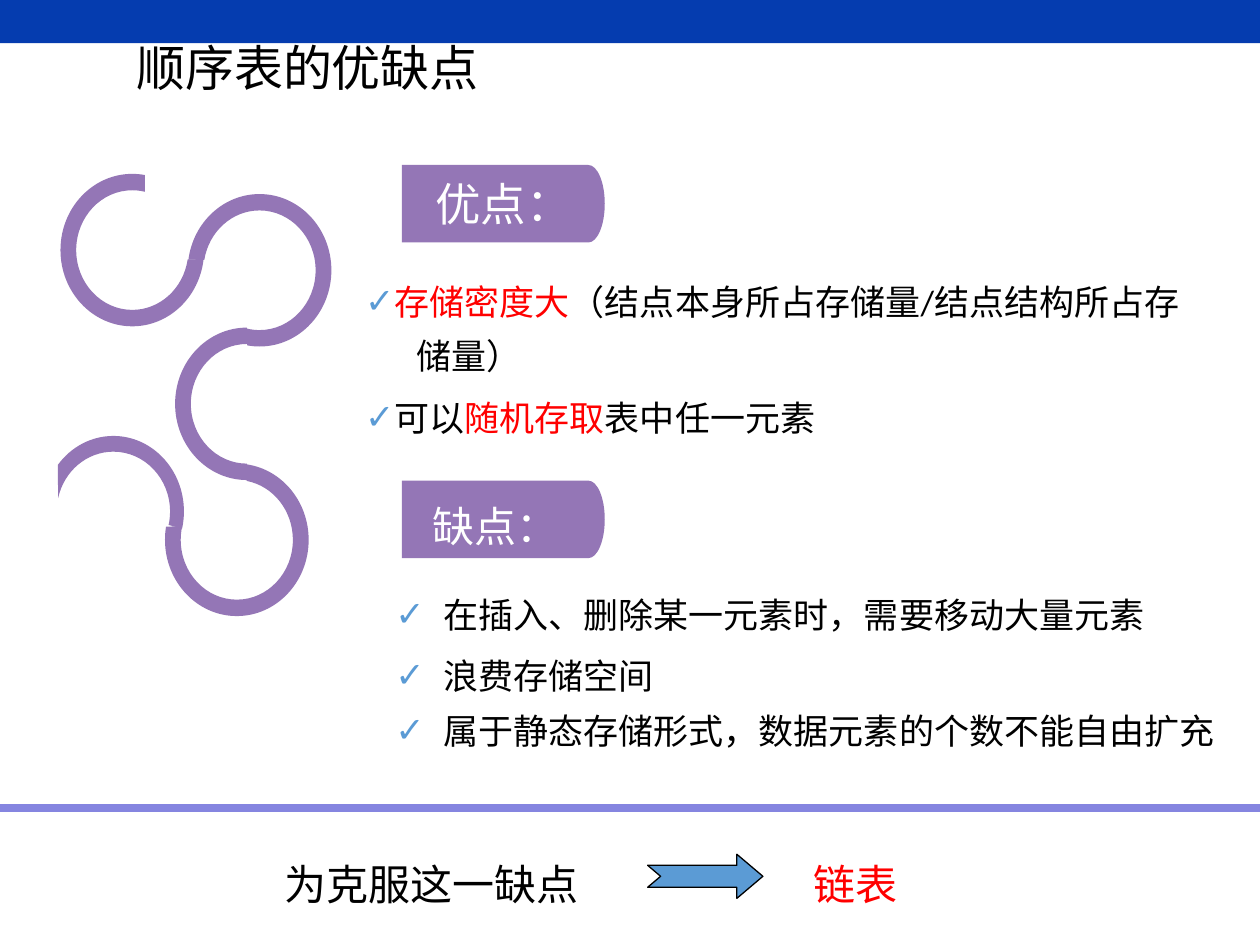
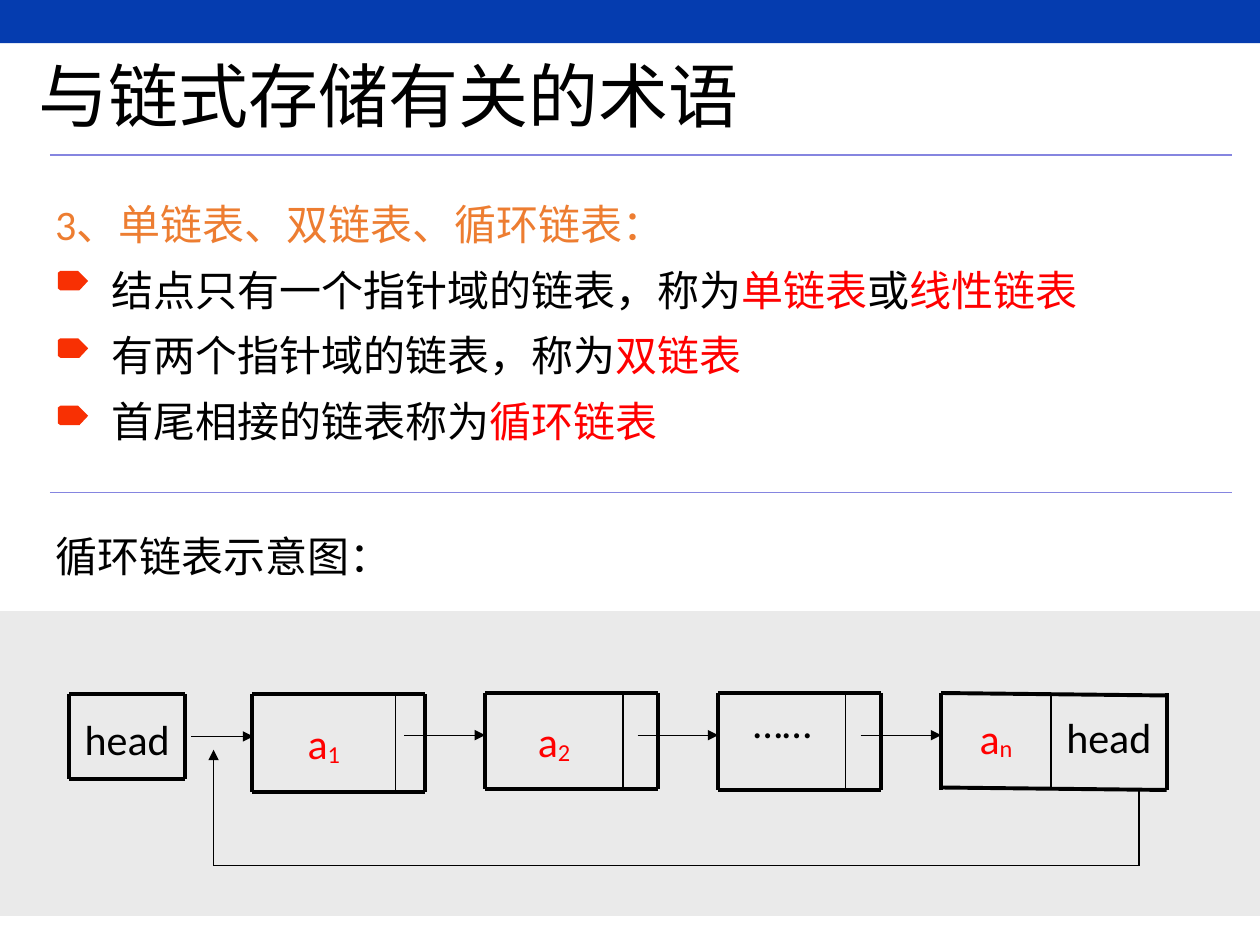
from math import ceil, cos, floor, radians, sin, tan

from lxml.etree import SubElement
from pptx import Presentation
from pptx.dml.color import RGBColor
from pptx.enum.shapes import MSO_CONNECTOR as Connector, MSO_SHAPE as Shape
from pptx.enum.text import MSO_ANCHOR as Anchor, PP_ALIGN as Align
from pptx.oxml.ns import qn
from pptx.util import Inches, Pt

BLACK = RGBColor(0x00, 0x00, 0x00)
WHITE = RGBColor(0xFF, 0xFF, 0xFF)
RED = RGBColor(0xFF, 0x00, 0x00)
ORANGE = RGBColor(0xED, 0x7D, 0x31)
MARKER = RGBColor(0xF8, 0x30, 0x03)
BAND = RGBColor(0x05, 0x3C, 0xAF)
RULE = RGBColor(0x85, 0x85, 0xE0)
PURPLE = RGBColor(0x94, 0x76, 0xB6)
BLUE = RGBColor(0x5B, 0x9B, 0xD5)
GREY = RGBColor(0xEA, 0xEA, 0xEA)

COLUMNS, ROWS = 100, 75
BODY_FONT, TITLE_FONT = "Calibri", "Noto Sans CJK SC"


def write(frame, text, size=24, color=BLACK, font=BODY_FONT, align=Align.LEFT,
          spacing=None, before=0, margin=0, indent=0, bullet=None, subscript=None):
    paragraph = frame.paragraphs[0]
    if paragraph.runs:
        paragraph = frame.add_paragraph()
    properties = paragraph._p.get_or_add_pPr()
    properties.set("marL", str(Inches(margin)))
    properties.set("indent", str(Inches(indent)))
    if bullet:
        bullet_color = SubElement(properties, qn("a:buClr"))
        SubElement(bullet_color, qn("a:srgbClr"), val=str(BLUE))
        SubElement(properties, qn("a:buFont"), typeface=BODY_FONT)
        SubElement(properties, qn("a:buChar"), char=bullet)
    paragraph.alignment = align
    paragraph.space_before = Pt(before)
    if spacing:
        paragraph.line_spacing = spacing
    pieces = [(part, RED if index % 2 else color, None)
              for index, part in enumerate(text.split("*")) if part]
    if subscript:
        pieces.append((subscript, color, "-8000"))
    for part, part_color, baseline in pieces:
        run = paragraph.add_run()
        run.text = part
        run.font.size = Pt(size)
        run.font.color.rgb = part_color
        run.font.name = font
        run_properties = run.font._element
        SubElement(run_properties, qn("a:ea"), typeface=font)
        if baseline:
            run_properties.set("baseline", baseline)


def arc(center_x, center_y, radius_x, radius_y, start, end):
    quarters = [90 * n for n in range(floor(start / 90) + 1, ceil(end / 90))]
    stops = [radians(angle) for angle in (start, *quarters, end)]
    unit = [(cos(stops[0]), sin(stops[0]))]
    for a, b in zip(stops, stops[1:]):
        pull = 4 / 3 * tan((b - a) / 4)
        unit += [(cos(a) - pull * sin(a), sin(a) + pull * cos(a)),
                 (cos(b) + pull * sin(b), sin(b) - pull * cos(b)),
                 (cos(b), sin(b))]
    return [(center_x + radius_x * x, center_y + radius_y * y) for x, y in unit]


class Deck:
    def __init__(self):
        self.presentation = Presentation()
        self.presentation.slide_width = Inches(10)
        self.presentation.slide_height = Inches(7.5)
        self.slide = None

    def x(self, columns):
        return round(self.presentation.slide_width * columns / COLUMNS)

    def y(self, rows):
        return round(self.presentation.slide_height * rows / ROWS)

    def place(self, left, top, width, height):
        return self.x(left), self.y(top), self.x(width), self.y(height)

    def new_slide(self):
        self.slide = self.presentation.slides.add_slide(self.presentation.slide_layouts[6])
        self.shape(Shape.RECTANGLE, 0, 0, COLUMNS, 3.43, BAND)

    def paint(self, shape, fill, line=None):
        shape.shadow.inherit = False
        shape.fill.solid()
        shape.fill.fore_color.rgb = fill
        if line is None:
            shape.line.fill.background()
        else:
            shape.line.color.rgb = line
            shape.line.width = Pt(0.75)
        return shape

    def shape(self, kind, left, top, width, height, fill, line=None):
        shape = self.slide.shapes.add_shape(kind, *self.place(left, top, width, height))
        return self.paint(shape, fill, line)

    def outline(self, fill, *parts):
        points, curve_starts = [], []
        for part in parts:
            curve_starts += range(len(points), len(points) + len(part) - 1, 3)
            points += [(self.x(column), self.y(row)) for column, row in part]
        builder = self.slide.shapes.build_freeform(*points[0])
        builder.add_line_segments(points[1:])
        shape = builder.convert_to_shape()
        segments = list(shape._element.iter(qn("a:lnTo")))
        for start in curve_starts:
            first, *others = segments[start:start + 3]
            parent = first.getparent()
            curve = parent.makeelement(qn("a:cubicBezTo"))
            parent.replace(first, curve)
            curve.append(first[0])
            for other in others:
                curve.append(other[0])
                parent.remove(other)
        return self.paint(shape, fill)

    def frame(self, left, top, width, height, anchor=Anchor.TOP):
        box = self.slide.shapes.add_textbox(*self.place(left, top, width, height))
        box.text_frame.word_wrap = True
        box.text_frame.vertical_anchor = anchor
        return box.text_frame

    def title(self, text, size, left, top, width, height):
        write(self.frame(left, top, width, height, Anchor.MIDDLE), text, size, font=TITLE_FONT)

    def line(self, x1, y1, x2, y2, color=BLACK, width=0.75, arrow=False):
        connector = self.slide.shapes.add_connector(
            Connector.STRAIGHT, self.x(x1), self.y(y1), self.x(x2), self.y(y2))
        connector.line.color.rgb = color
        connector.line.width = Pt(width)
        if arrow:
            SubElement(connector.line._get_or_add_ln(), qn("a:tailEnd"), type="triangle")
        SubElement(connector._element.spPr, qn("a:effectLst"))

    def ring(self, x, y, outer, outer_angles, inner, inner_angles):
        self.outline(PURPLE, arc(x, y, *outer, *outer_angles),
                     arc(x, y, *inner, *inner_angles)[::-1])

    def tag(self, left, top):
        height, cap = 6.15, 1.3
        edge = arc(left + 14.8, top + height / 2, cap, height / 2, -90, 90)
        return self.outline(PURPLE, [(left, top)], edge, [(left, top + height)])

    def node(self, left, top, right, bottom, divider=None, slant=0):
        for row in (top, bottom):
            self.line(left, row, right, row + slant, width=2.25)
        for column in (left, right):
            self.line(column, top, column, bottom + slant, width=2.25)
        if divider:
            self.line(divider, top + slant, divider, bottom + slant, width=1)

    def label(self, text, left, top, width, height, anchor=Anchor.MIDDLE, **style):
        write(self.frame(left, top, width, height, anchor), text, align=Align.CENTER, **style)


def build_pros_and_cons(deck):
    deck.new_slide()
    deck.title("顺序表的优缺点", 28, 9.83, 2.5, 51.5, 5.6)

    outer, inner = (5.7, 6.05), (4.45, 4.75)
    for x, y, outer_angles, inner_angles in [
            (20.6, 21.45, (188, 460), (190, 463)), (19.6, 32.05, (90, 270), (90, 270)),
            (18.8, 42.85, (-82, 190), (-80, 193)), (10.5, 19.85, (7, 280), (9, 283))]:
        deck.ring(x, y, outer, outer_angles, inner, inner_angles)
    deck.ring(9, 40.6, (5.6, 6), (218, 373), (4.5, 4.75), (193, 373))

    pros = deck.tag(31.9, 13.1).text_frame
    pros.vertical_anchor = Anchor.MIDDLE
    write(pros, "优点：", 26, WHITE, TITLE_FONT, Align.CENTER)
    deck.tag(31.9, 38.15)

    check = dict(size=20, spacing=1.3, bullet="✓")
    advantages = deck.frame(25.2, 20.75, 73, 14.8)
    write(advantages, "*存储密度大*（结点本身所占存储量/结点结构所占存",
          margin=0.5, indent=-0.22, **check)
    write(advantages, "储量）", size=20, spacing=1.3, margin=0.69)
    write(advantages, "可以*随机存取*表中任一元素", before=4, margin=0.5, indent=-0.22, **check)

    drawbacks = deck.frame(30.4, 45.6, 67.8, 14.8)
    for text, before in [("在插入、删除某一元素时，需要移动大量元素", 0), ("浪费存储空间", 4),
                         ("属于静态存储形式，数据元素的个数不能自由扩充", 0)]:
        write(drawbacks, text, before=before, margin=0.38, indent=-0.38, **check)
    write(deck.frame(33.35, 38, 14.5, 6.3), "缺点：", color=WHITE, spacing=1.3)

    deck.line(0, 64.15, COLUMNS, 64.15, RULE, 4.5)
    write(deck.frame(21.6, 66.45, 26.8, 6.3), "为克服这一缺点", spacing=1.3)
    arrow = deck.shape(Shape.NOTCHED_RIGHT_ARROW, 51.4, 67.8, 9.15, 3.5, BLUE, BLACK)
    arrow.adjustments[1] = 0.59
    write(deck.frame(63.6, 66.45, 10.8, 6.3), "链表", color=RED, spacing=1.3)


def build_linked_terms(deck):
    deck.new_slide()
    deck.title("与链式存储有关的术语", 40, 2.1, 4.57, 58.3, 5.8)
    for row in (12.3, 39.1):
        deck.line(3.95, row, 97.8, row, RULE)

    terms = deck.frame(3.4, 14.1, 95, 22)
    write(terms, "3、单链表、双链表、循环链表：", color=ORANGE, spacing=1.3)
    for index, text in enumerate(["结点只有一个指针域的链表，称为*单链表*或*线性链表*",
                                  "有两个指针域的链表，称为*双链表*",
                                  "首尾相接的链表称为*循环链表*"]):
        write(terms, text, spacing=1.3, margin=0.45)
        top = 21.5 + 5.35 * index
        corners = [(4.8, top), (6.2, top), (7, top + 0.8), (6.3, top + 1.55),
                   (4.8, top + 1.55), (4.6, top + 1.4), (4.6, top + 0.15)]
        deck.outline(MARKER, *[[corner] for corner in corners])

    write(deck.frame(3.4, 41.6, 30.9, 5.1), "循环链表示意图：")
    deck.shape(Shape.RECTANGLE, 0, 48.5, COLUMNS, 24.2, GREY)

    deck.node(5.5, 55.1, 14.7, 61.8)
    deck.label("head", 5.5, 56.15, 9.2, 6.7, Anchor.TOP)
    for left, top, right, bottom, divider, subscript, slant in [
            (20, 55.1, 33.7, 62.85, 31.4, "1", 0), (38.5, 55, 52.2, 62.6, 49.45, "2", 0),
            (57, 55, 69.9, 62.7, 67.1, None, 0), (74.7, 55, 92.6, 62.5, 83.4, "n", 0.2)]:
        deck.node(left, top, right, bottom, divider, slant)
        if subscript:
            deck.label("a", left, top - slant, divider - left, bottom - top,
                       color=RED, subscript=subscript)
    deck.label("……", 57, 54.8, 10.2, 5)
    deck.label("head", 83.4, 55.15, 9.2, 6.7)

    for start, end, row in [(15.2, 20.1, 58.45), (32.1, 38.5, 58.35),
                            (50.6, 57, 58.35), (68.3, 74.7, 58.35)]:
        deck.line(start, row, end, row, arrow=True)
    deck.line(90.4, 62.8, 90.4, 68.7)
    deck.line(90.4, 68.7, 16.95, 68.7)
    deck.line(16.95, 68.7, 16.95, 59.5, arrow=True)


def main():
    deck = Deck()
    build_pros_and_cons(deck)
    build_linked_terms(deck)
    deck.presentation.save("out.pptx")


if __name__ == "__main__":
    main()
